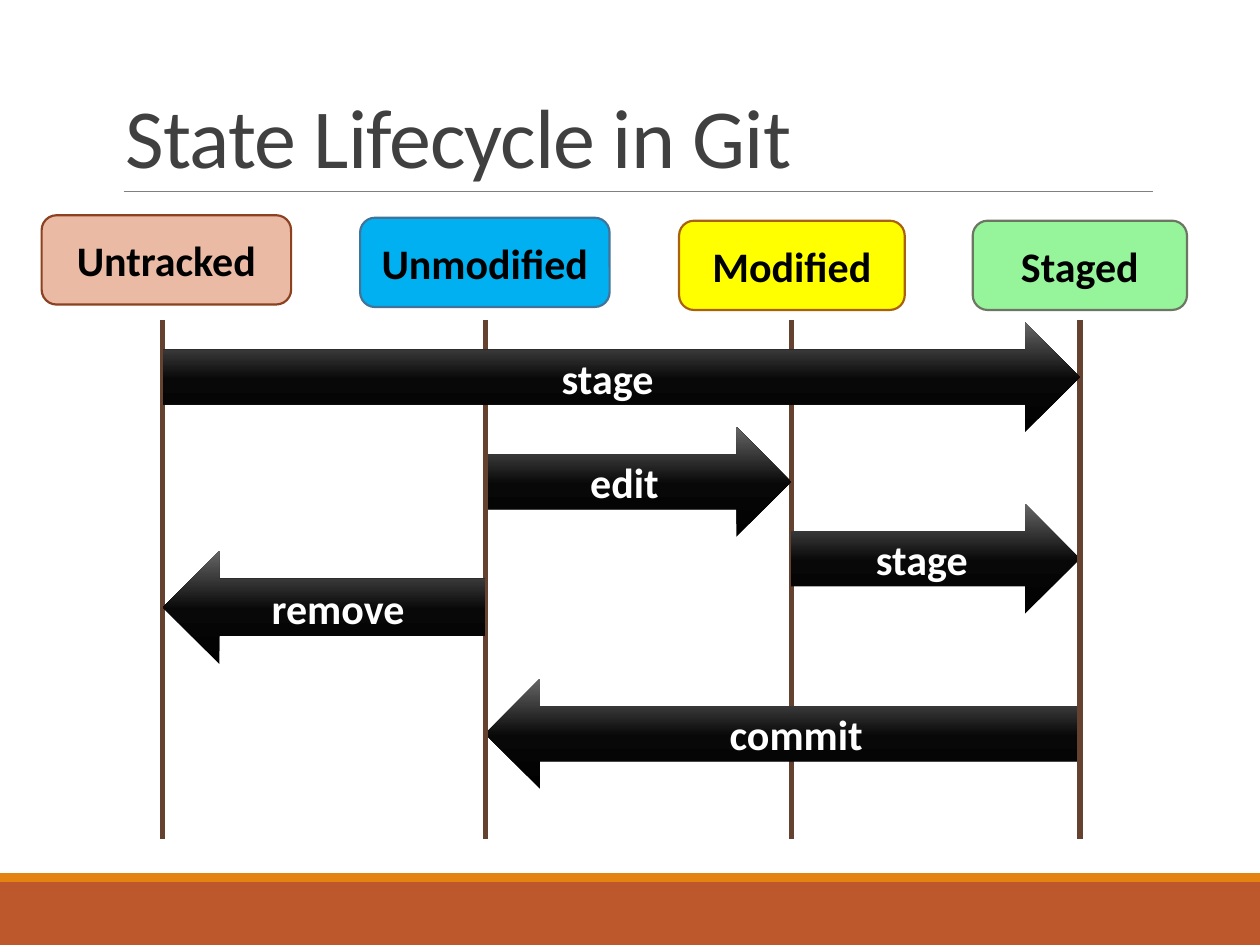
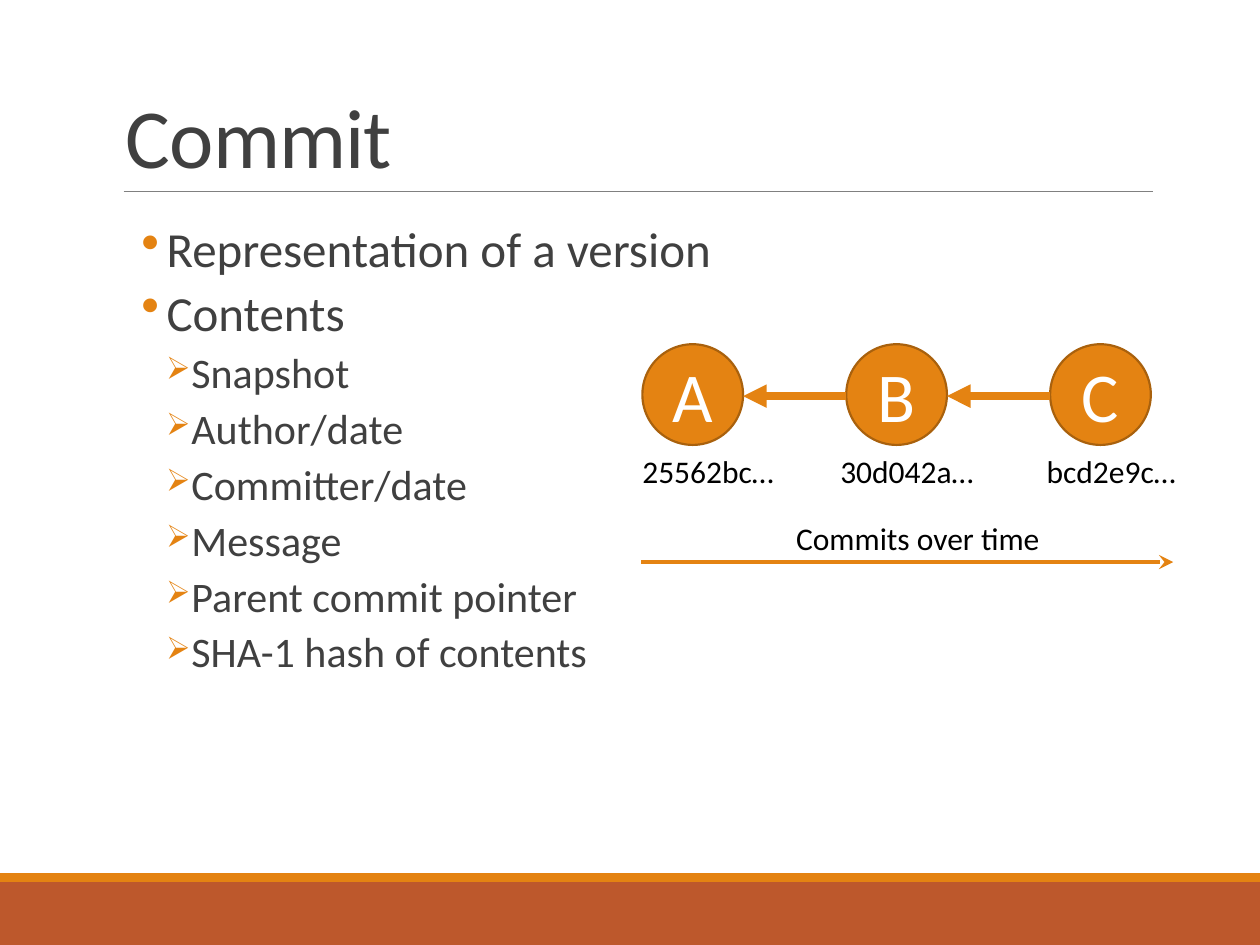
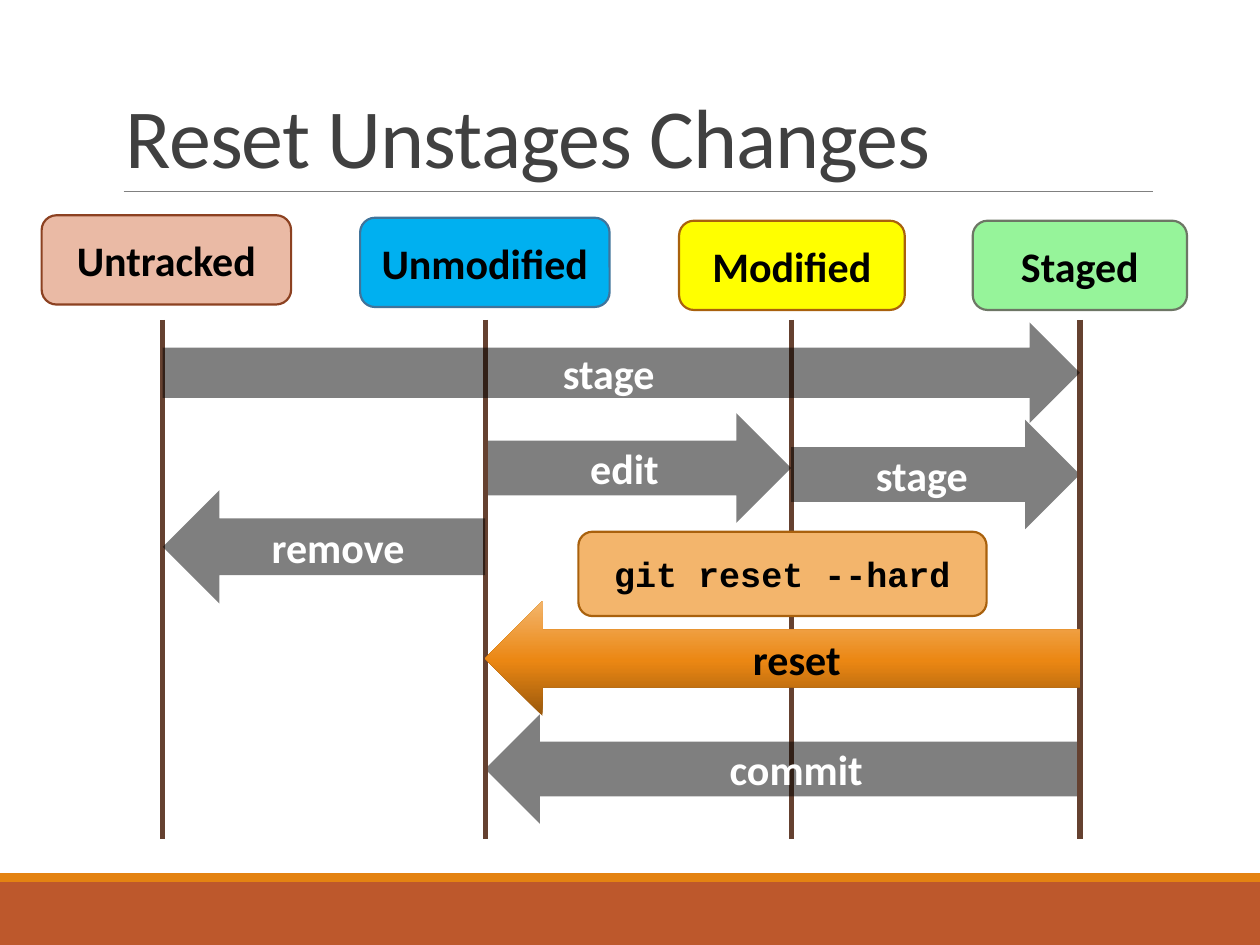
from lxml.etree import SubElement
from pptx import Presentation
from pptx.dml.color import RGBColor
from pptx.enum.dml import MSO_FILL
from pptx.enum.shapes import MSO_CONNECTOR, MSO_SHAPE as SHAPE
from pptx.enum.text import MSO_ANCHOR as ANCHOR, MSO_AUTO_SIZE as AUTO_SIZE, PP_ALIGN as ALIGN
from pptx.oxml.ns import qn
from pptx.util import Cm, Pt

BLACK = RGBColor(0x00, 0x00, 0x00)
WHITE = RGBColor(0xFF, 0xFF, 0xFF)
TEXT_GREY = RGBColor(0x40, 0x40, 0x40)
RULE_GREY = RGBColor(0x80, 0x80, 0x80)
RUST = RGBColor(0xBD, 0x58, 0x2C)
ORANGE = RGBColor(0xE4, 0x83, 0x12)
DARK_ORANGE = RGBColor(0xA9, 0x61, 0x0D)
LIGHT_ORANGE = RGBColor(0xF3, 0xB5, 0x6C)
BROWN = RGBColor(0x65, 0x41, 0x30)
PINK = RGBColor(0xEA, 0xBA, 0xA5)
DARK_RUST = RGBColor(0x8C, 0x41, 0x21)
BLUE = RGBColor(0x00, 0xB0, 0xF0)
DARK_BLUE = RGBColor(0x40, 0x74, 0x9B)
YELLOW = RGBColor(0xFF, 0xFF, 0x00)
GREEN = RGBColor(0x96, 0xF4, 0x9A)
DARK_GREEN = RGBColor(0x6D, 0x76, 0x65)

# Gradients run from bottom to top
BLACK_GRADIENT = [(0, BLACK), (48, RGBColor(0x08, 0x08, 0x08)), (100, RGBColor(0x66, 0x66, 0x66))]
ORANGE_GRADIENT = [(0, RGBColor(0x99, 0x58, 0x0C)), (48, RGBColor(0xEB, 0x87, 0x13)),
                   (100, LIGHT_ORANGE)]

# State name: left, top, width, fill, outline
STATES = {
    "Untracked": (0.84, 4.34, 5.03, PINK, DARK_RUST),
    "Unmodified": (7.26, 4.39, 5.03, BLUE, DARK_BLUE),
    "Modified": (13.69, 4.45, 4.55, YELLOW, DARK_ORANGE),
    "Staged": (19.61, 4.45, 4.32, GREEN, DARK_GREEN),
}
LIFELINES = {"Untracked": 3.28, "Unmodified": 9.78, "Modified": 15.95, "Staged": 21.77}


class Deck:
    """Holds the shared style and the slide being filled; lengths are in centimetres."""

    font = "Calibri"
    width, height = 25.4, 19.05

    def __init__(self):
        self.presentation = Presentation()
        self.presentation.slide_width = Cm(self.width)
        self.presentation.slide_height = Cm(self.height)
        self.slide = None

    def start_slide(self, title):
        self.slide = self.presentation.slides.add_slide(self.presentation.slide_layouts[6])
        self.shape(SHAPE.RECTANGLE, 0, 17.78, self.width, 1.27, RUST)
        self.shape(SHAPE.RECTANGLE, 0, 17.6, self.width, 0.18, ORANGE)
        self.line(2.49, 3.86, 23.24, 3.86, RULE_GREY, 0.5)
        frame = self.text_box(2.29, 0.79, 20.95, 3.07, title, 48, TEXT_GREY)
        frame.vertical_anchor = ANCHOR.BOTTOM
        paragraph = frame.paragraphs[0]
        paragraph.line_spacing = 0.85
        paragraph.runs[0].font._element.set("spc", "-50")

    def style_runs(self, paragraph, size, color, bold=False, font=None):
        for run in paragraph.runs:
            run.font.name = font or self.font
            run.font.size = Pt(size)
            run.font.bold = bold
            run.font.color.rgb = color

    def shape(self, kind, left, top, width, height, fill, outline=None):
        shape = self.slide.shapes.add_shape(kind, Cm(left), Cm(top), Cm(width), Cm(height))
        shape.shadow.inherit = False
        if isinstance(fill, list):
            self.fill_gradient(shape, fill)
        else:
            shape.fill.solid()
            shape.fill.fore_color.rgb = fill
        if outline is None:
            shape.line.fill.background()
        else:
            shape.line.color.rgb = outline
            shape.line.width = Pt(1.25)
        return shape

    def fill_gradient(self, shape, stops):
        shape.fill.gradient()
        shape.fill.gradient_angle = 90
        stop_list = shape._element.spPr.find(".//" + qn("a:gsLst"))
        stop_list.clear()
        for percent, color in stops:
            stop = SubElement(stop_list, qn("a:gs"), pos=str(percent * 1000))
            SubElement(stop, qn("a:srgbClr"), val=str(color))

    def set_opacity(self, shape, percent):
        if shape.fill.type == MSO_FILL.SOLID:
            color = shape._element.spPr.find(qn("a:solidFill"))[0]
            SubElement(color, qn("a:alpha"), val=str(percent * 1000))

    def label(self, shape, text, size, color, bold=True, font=None):
        frame = shape.text_frame
        frame.text = text
        frame.word_wrap = True
        frame.vertical_anchor = ANCHOR.MIDDLE
        frame.paragraphs[0].alignment = ALIGN.CENTER
        self.style_runs(frame.paragraphs[0], size, color, bold, font)

    def text_box(self, left, top, width, height, text, size, color, wrap=True):
        box = self.slide.shapes.add_textbox(Cm(left), Cm(top), Cm(width), Cm(height))
        frame = box.text_frame
        frame.text = text
        frame.word_wrap = wrap
        if not wrap:
            frame.auto_size = AUTO_SIZE.SHAPE_TO_FIT_TEXT
        for paragraph in frame.paragraphs:
            self.style_runs(paragraph, size, color)
        return frame

    def line(self, x1, y1, x2, y2, color, weight, head=None):
        connector = self.slide.shapes.add_connector(
            MSO_CONNECTOR.STRAIGHT, Cm(x1), Cm(y1), Cm(x2), Cm(y2))
        connector.line.color.rgb = color
        connector.line.width = Pt(weight)
        if head:
            SubElement(connector.line._get_or_add_ln(), qn("a:tailEnd"), type=head)
        SubElement(connector._element.spPr, qn("a:effectLst"))

    def bullets(self, left, top, width, height, items):
        """Draw (level, text) items as a two-level list."""
        levels = [("•", 108, 28, 1.07), ("➢", 74, 24, 1.57)]
        frame = self.text_box(left, top, width, height,
                              "\n".join(text for _, text in items), 28, TEXT_GREY)
        frame.margin_left = frame.margin_right = 0
        for index, (paragraph, (level, _)) in enumerate(zip(frame.paragraphs, items)):
            character, percent, size, indent = levels[level]
            properties = paragraph._p.get_or_add_pPr()
            properties.set("marL", str(Cm(indent)))
            properties.set("indent", str(Cm(-0.51)))
            bullet_color = SubElement(properties, qn("a:buClr"))
            SubElement(bullet_color, qn("a:srgbClr"), val=str(ORANGE))
            SubElement(properties, qn("a:buSzPct"), val=str(percent * 1000))
            SubElement(properties, qn("a:buChar"), char=character)
            paragraph.level = level
            paragraph.line_spacing = 0.9
            paragraph.space_before = Pt(2 if index else 0)
            paragraph.space_after = Pt(4)
            self.style_runs(paragraph, size, TEXT_GREY)

    def state_card(self, state):
        left, top, width, fill, outline = STATES[state]
        card = self.shape(SHAPE.ROUNDED_RECTANGLE, left, top, width, 1.8, fill, outline)
        self.label(card, state, 24, BLACK)

    def lifeline(self, state):
        self.line(LIFELINES[state], 6.45, LIFELINES[state], 16.92, BROWN, 3)

    def transition(self, text, source, target, top, height, fill, opacity=100, color=WHITE):
        """Draw a block arrow from one state's lifeline to another's."""
        start, end = LIFELINES[source], LIFELINES[target]
        kind = SHAPE.RIGHT_ARROW if start < end else SHAPE.LEFT_ARROW
        arrow = self.shape(kind, min(start, end), top, abs(end - start), height, fill)
        if opacity < 100:
            self.set_opacity(arrow, opacity)
        self.label(arrow, text, 24, color)

    def lifecycle(self, edit, stage, commit, remove, stage_new, stage_new_height, fill, opacity):
        """Draw the states and their transitions, given the top of each arrow."""
        for state in STATES:
            self.state_card(state)
        self.lifeline("Modified")
        self.transition("edit", "Unmodified", "Modified", edit, 2.21, fill, opacity)
        self.transition("stage", "Modified", "Staged", stage, 2.21, fill, opacity)
        self.transition("commit", "Staged", "Unmodified", commit, 2.21, fill, opacity)
        for state in ("Staged", "Unmodified", "Untracked"):
            self.lifeline(state)
        self.transition("remove", "Unmodified", "Untracked", remove, 2.29, fill, opacity)
        self.transition("stage", "Untracked", "Staged", stage_new, stage_new_height,
                        fill, opacity)

    def commit_chain(self, commits, left, top, step, diameter):
        """Draw commits as circles, each pointing back to its parent."""
        for index, (name, commit_hash, hash_left) in enumerate(commits):
            x = left + index * step
            circle = self.shape(SHAPE.OVAL, x, top, diameter, diameter, ORANGE, DARK_ORANGE)
            self.label(circle, name, 40, WHITE, bold=False)
            self.text_box(hash_left, top + 2.05, 3.2, 1.02, commit_hash, 18, BLACK, wrap=False)
            if index:
                y = top + diameter / 2 + 0.03
                self.line(x, y, x - step + diameter, y, ORANGE, 4.5, "triangle")


def main():
    deck = Deck()

    deck.start_slide("State Lifecycle in Git")
    deck.lifecycle(edit=8.61, stage=10.16, commit=13.69, remove=11.1, stage_new=6.5,
                   stage_new_height=2.21, fill=BLACK_GRADIENT, opacity=100)

    deck.start_slide("Commit")
    deck.bullets(2.29, 4.42, 20.95, 11.89, [
        (0, "Representation of a version"),
        (0, "Contents"),
        (1, "Snapshot"),
        (1, "Author/date"),
        (1, "Committer/date"),
        (1, "Message"),
        (1, "Parent commit pointer"),
        (1, "SHA-1 hash of contents"),
    ])
    deck.commit_chain([("A", "25562bc…", 12.7), ("B", "30d042a…", 16.69),
                       ("C", "bcd2e9c…", 20.85)], 12.95, 6.94, 4.11, 2.03)
    deck.line(12.93, 11.33, 23.65, 11.33, ORANGE, 2.75, "stealth")
    deck.text_box(15.8, 10.34, 5.49, 1.02, "Commits over time", 18, BLACK, wrap=False)

    deck.start_slide("Reset Unstages Changes")
    deck.lifecycle(edit=8.33, stage=8.46, commit=14.4, remove=9.88, stage_new=6.5,
                   stage_new_height=2.03, fill=BLACK, opacity=50)
    deck.transition("reset", "Staged", "Unmodified", 12.12, 2.31, ORANGE_GRADIENT, color=BLACK)
    command = deck.shape(SHAPE.ROUNDED_RECTANGLE, 11.66, 10.72, 8.23, 1.7,
                         LIGHT_ORANGE, DARK_ORANGE)
    deck.label(command, "git reset --hard", 20, BLACK, font="Courier New")

    deck.presentation.save("out.pptx")


if __name__ == "__main__":
    main()
